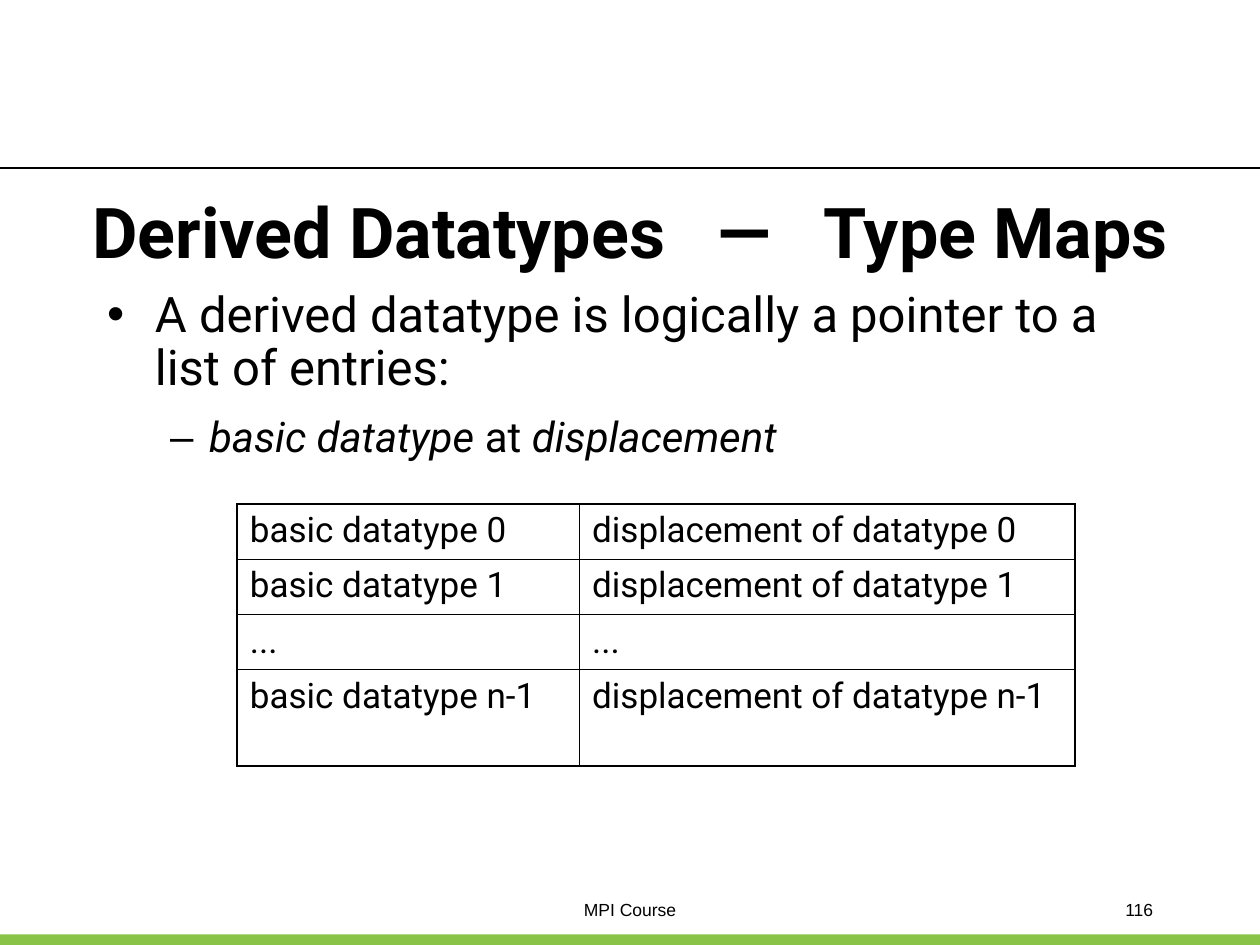
from pptx import Presentation as Deck
from pptx.dml.color import RGBColor as Rgb
from pptx.enum.shapes import MSO_CONNECTOR as Link, MSO_SHAPE as Kind
from pptx.enum.text import MSO_ANCHOR as Anchor, MSO_AUTO_SIZE as Fit, PP_ALIGN as Align
from pptx.oxml.ns import qn
from pptx.util import Inches, Pt
from lxml.etree import SubElement as Sub

BLACK = Rgb(0, 0, 0)
GREEN = Rgb(0x89, 0xC4, 0x48)
COLS, ROWS = 120, 90
ROWS_TEXT = [
    ("basic datatype 0", "displacement of datatype 0"),
    ("basic datatype 1", "displacement of datatype 1"),
    ("...", "..."),
    ("basic datatype n-1", "displacement of datatype n-1"),
]


def write(para, text, size=20, face="Roboto", bold=False, slant=False, gap=0):
    run = para.add_run()
    run.text = text
    font = run.font
    font.size, font.name = Pt(size), face
    font.bold, font.italic = bold, slant
    font.color.rgb = BLACK
    if gap:
        run._r.get_or_add_rPr().set("spc", str(gap * 100))


class Page:
    thin, thick = 0.45, 1.08

    def __init__(self, deck):
        self.wide, self.high = deck.slide_width, deck.slide_height
        self.slide = deck.slides.add_slide(deck.slide_layouts[1])
        self.shapes = self.slide.shapes

    def x(self, cols):
        return round(self.wide * cols / COLS)

    def y(self, rows):
        return round(self.high * rows / ROWS)

    def box(self, col, row, wide, high):
        return self.x(col), self.y(row), self.x(wide), self.y(high)

    def move(self, shape, *area):
        shape.left, shape.top, shape.width, shape.height = self.box(*area)
        frame = shape.text_frame
        frame.auto_size, frame.word_wrap = Fit.NONE, True
        return frame

    def bar(self, *area):
        bar = self.shapes.add_shape(Kind.RECTANGLE, *self.box(*area))
        bar.shadow.inherit = False
        bar.fill.solid()
        bar.fill.fore_color.rgb = GREEN
        bar.line.fill.background()

    def rule(self, row):
        y = self.y(row)
        rule = self.shapes.add_connector(Link.STRAIGHT, 0, y, self.wide, y)
        rule.line.color.rgb, rule.line.width = BLACK, Pt(0.75)
        Sub(rule._element.spPr, qn("a:effectLst"))

    def note(self, text, align, *area):
        shape = self.shapes.add_textbox(*self.box(*area))
        para = self.move(shape, *area).paragraphs[0]
        para.alignment = align
        write(para, text, size=10, face="Arial")

    def title(self, parts, *area):
        frame = self.move(self.shapes.title, *area)
        frame.vertical_anchor = Anchor.MIDDLE
        para = frame.paragraphs[0]
        para.alignment = Align.CENTER
        for text, gap in parts:
            write(para, text, size=40, bold=True, gap=gap)

    def list(self, items, *area):
        frame = self.move(self.slide.placeholders[1], *area)
        for spot, (mark, left, hang, size, runs) in enumerate(items):
            para = frame.add_paragraph() if spot else frame.paragraphs[0]
            para.level, para.line_spacing = spot, 0.9
            para.space_before = Pt(12 if spot else 0)
            props = para._p.get_or_add_pPr()
            props.set("marL", str(Inches(left)))
            props.set("indent", str(-Inches(hang)))
            tint = Sub(props, qn("a:buClr"))
            Sub(tint, qn("a:srgbClr"), val=str(BLACK))
            Sub(props, qn("a:buFont"), typeface="Arial")
            Sub(props, qn("a:buChar"), char=mark)
            for text, slant in runs:
                write(para, text, size=size, slant=slant)

    def edge(self, cell, outer):
        props = cell._tc.get_or_add_tcPr()
        for side, out in zip("LRTB", outer):
            width = Pt(self.thick if out else self.thin)
            line = Sub(props, qn(f"a:ln{side}"), w=str(width))
            fill = Sub(line, qn("a:solidFill"))
            Sub(fill, qn("a:srgbClr"), val=str(BLACK))

    def table(self, data, col, row, wides, highs):
        area = self.box(col, row, sum(wides), sum(highs))
        table = self.shapes.add_table(len(data), len(wides), *area).table
        table.first_row = table.horz_banding = False
        for spot, wide in enumerate(wides):
            table.columns[spot].width = self.x(wide)
        for r, (high, texts) in enumerate(zip(highs, data)):
            table.rows[r].height = self.y(high)
            for c, text in enumerate(texts):
                cell = table.cell(r, c)
                self.edge(cell, (c == 0, c == len(wides) - 1, r == 0, r == len(data) - 1))
                cell.fill.background()
                write(cell.text_frame.paragraphs[0], text)


def main():
    deck = Deck()
    deck.slide_width, deck.slide_height = Inches(10), Inches(7.5)
    page = Page(deck)
    page.bar(0, 89, COLS, 1)
    page.rule(16)
    page.note("MPI Course", Align.CENTER, 38, 85, 44, 3)
    page.note("116", Align.RIGHT, 86, 85, 25, 3)
    page.title(
        [("Derived Datatypes", 0), (" ", 20), ("—", 0), (" ", 20), ("Type Maps", 0)],
        0, 18, COLS, 8,
    )
    lead = "A derived datatype is logically a pointer to a list of entries:"
    pair = [("basic datatype", True), (" at ", False), ("displacement", True)]
    page.list(
        [("•", 0.38, 0.38, 28, [(lead, False)]), ("–", 0.81, 0.31, 24, pair)],
        9, 27, 102, 17.6,
    )
    page.table(ROWS_TEXT, 22.6, 48, (32.6, 47.2), (5.25, 5.25, 5.25, 9.2))
    deck.save("out.pptx")


if __name__ == "__main__":
    main()
